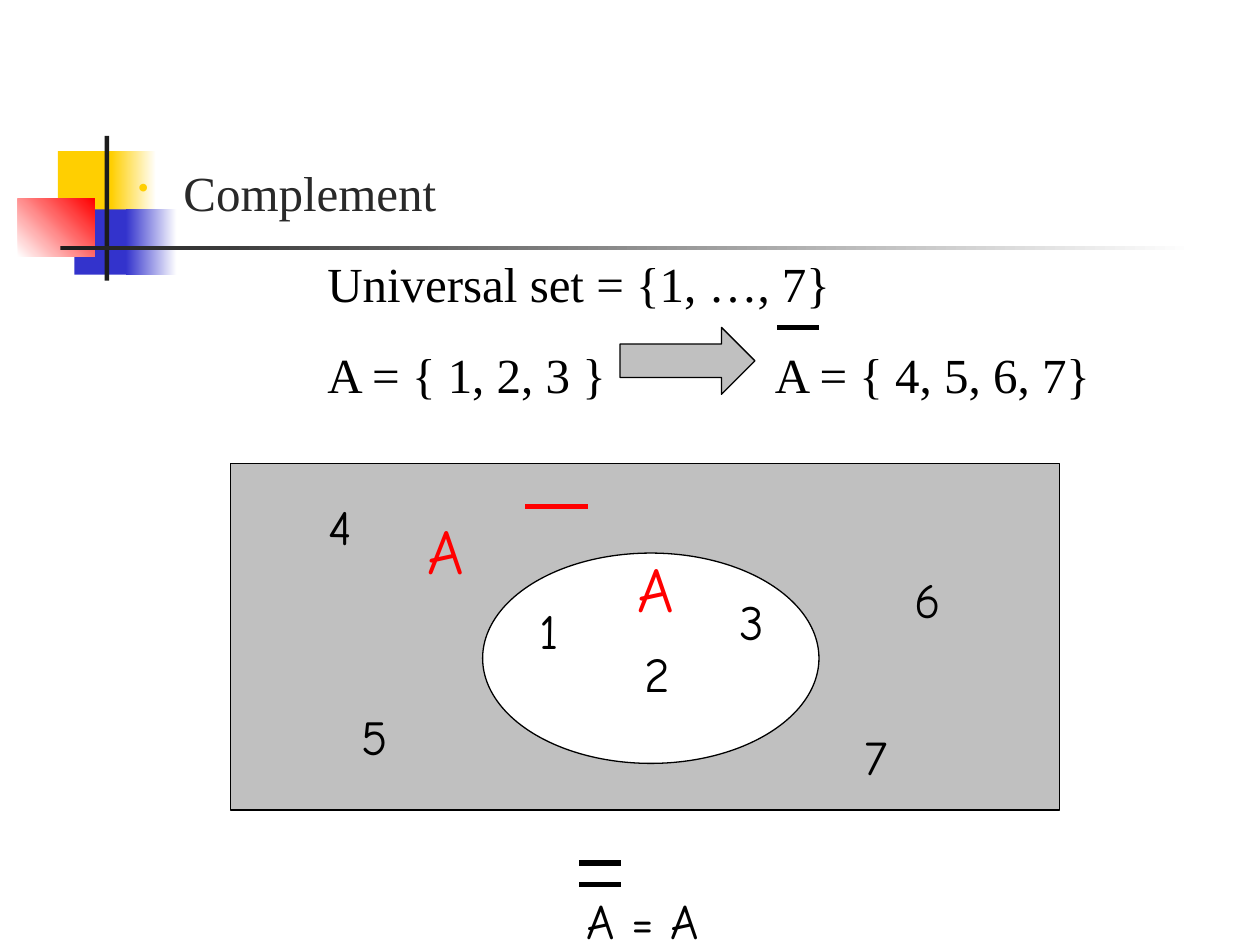
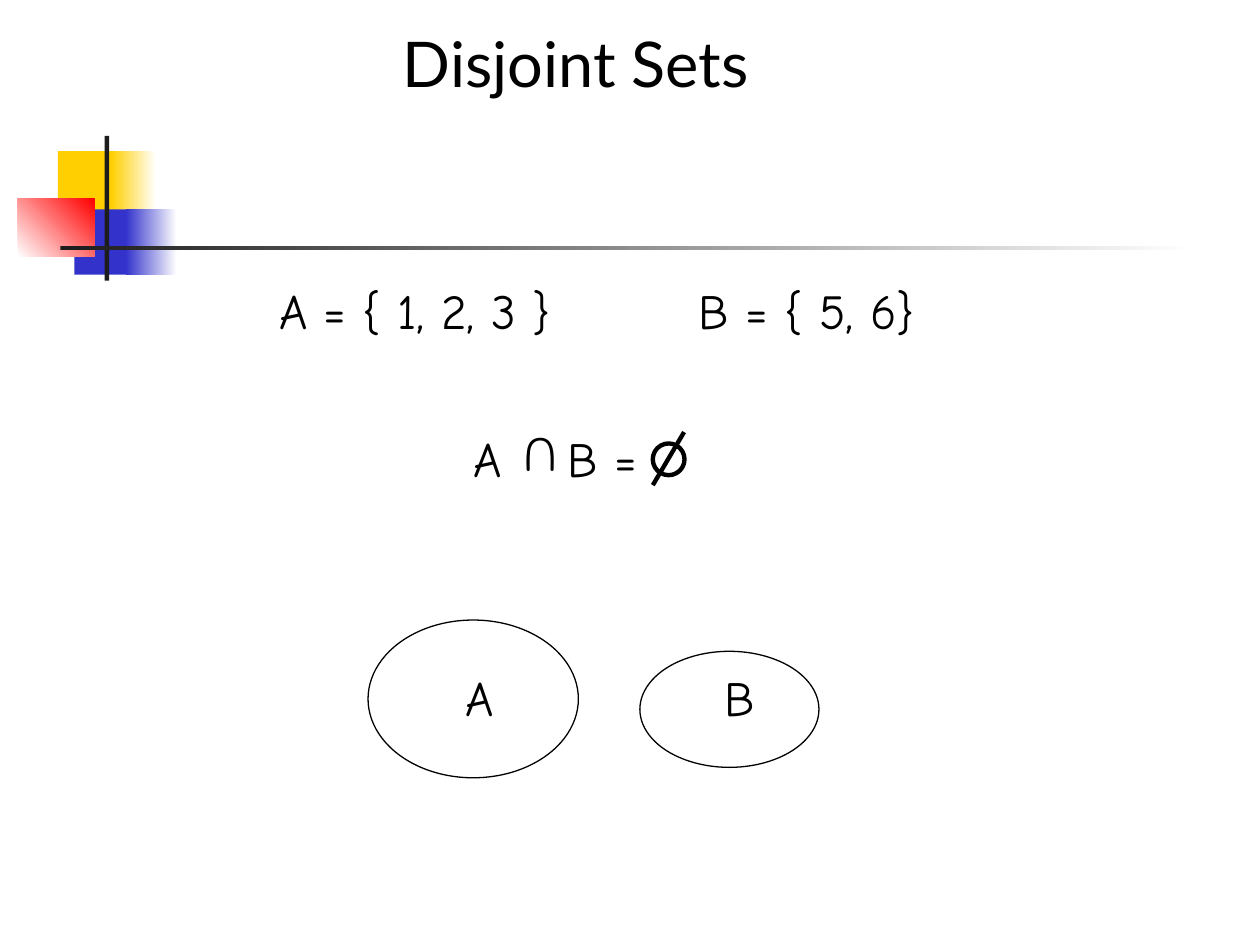
from lxml import etree
from pptx import Presentation
from pptx.dml.color import RGBColor
from pptx.enum.shapes import MSO_CONNECTOR, MSO_SHAPE
from pptx.enum.text import MSO_ANCHOR, PP_ALIGN
from pptx.oxml.ns import qn
from pptx.util import Cm, Pt

RECTANGLE, ELLIPSE, RIGHT_ARROW = MSO_SHAPE.RECTANGLE, MSO_SHAPE.OVAL, MSO_SHAPE.RIGHT_ARROW
STRAIGHT = MSO_CONNECTOR.STRAIGHT
LEFT, CENTER = PP_ALIGN.LEFT, PP_ALIGN.CENTER
TOP, MIDDLE = MSO_ANCHOR.TOP, MSO_ANCHOR.MIDDLE

BLACK = RGBColor(0x00, 0x00, 0x00)
WHITE = RGBColor(0xFF, 0xFF, 0xFF)
RED = RGBColor(0xFF, 0x00, 0x00)
YELLOW = RGBColor(0xFF, 0xCF, 0x01)
BLUE = RGBColor(0x33, 0x33, 0xCC)
CHARCOAL = RGBColor(0x1C, 0x1C, 0x1C)
HEADING = RGBColor(0x29, 0x29, 0x29)
GREY = RGBColor(0xC0, 0xC0, 0xC0)

HAND, TITLE_FONT, SERIF = "Comic Neue", "Lato", "Times New Roman"
TEXT_SIZE, LARGE_SIZE = 28, 36
TEXT_HEIGHT, LARGE_HEIGHT = 1.45, 1.78
THIN, MEDIUM, THICK = 0.75, 2.5, 3

# All places are in centimetres: left, top, width, height.
# A fill is one colour, or (start colour, end colour, angle).
EMBLEM = [
    ((1.17, 3.05, 1.22, 1.32), YELLOW),
    ((2.24, 3.05, 0.91, 1.32), (YELLOW, WHITE, 0)),
    ((1.5, 4.22, 1.17, 1.32), BLUE),
    ((2.54, 4.22, 1.02, 1.32), (BLUE, WHITE, 0)),
    ((0.36, 4.01, 1.55, 1.17), (WHITE, RED, 45)),
    ((2.11, 2.74, 0.09, 2.92), CHARCOAL),
    ((1.22, 4.95, 22.86, 0.09), (CHARCOAL, WHITE, 0)),
]

COMPLEMENT_BOX = (2.54, 3.15, 21.39, 5)
COMPLEMENT_HEADING = "Complement"
COMPLEMENT_LINES = ["\tUniversal set = {1, …, 7}", "\tA = { 1, 2, 3 }\tA = { 4, 5, 6, 7}"]
COMPLEMENT_TABS = [3.81, 12.83]
HEADING_INDENT = 0.91

UNIVERSE = (4.65, 9.35, 16.71, 6.98)
SET_A = (9.73, 11.15, 6.78, 4.24)
IMPLIES_ARROW = (12.5, 6.6, 2.72, 1.35)
ELEMENTS = [  # text, left, top, width
    ("1", 10.62, 11.99, 0.89),
    ("2", 12.75, 12.85, 1.02),
    ("3", 14.66, 11.79, 0.99),
    ("4", 6.38, 9.88, 0.99),
    ("5", 7.04, 14.12, 1.04),
    ("6", 18.19, 11.35, 1.04),
    ("7", 17.17, 14.53, 0.97),
    ("A = A", 11.58, 17.83, 2.77),
]
RED_A_PLACES = [(8.36, 10.19), (12.6, 10.95)]
OVERLINES = [  # left, right, height on the slide, colour
    (15.67, 16.51, 6.6, BLACK),
    (10.59, 11.86, 10.21, RED),
    (11.68, 12.52, 17.83, BLACK),
    (11.68, 12.52, 17.4, BLACK),
]

DISJOINT_TITLE = ("Disjoint Sets", (7.87, 0.36, 7.85, LARGE_HEIGHT))
FORMULAS = [  # text, left, top, width, tab stops
    ("A = { 1, 2, 3 }\tB = { 5, 6}", 5.38, 5.54, 13.61, [8.46]),
    ("A\tB =", 9.3, 8.51, 4.78, [1.9]),
]
INTERSECTION = ("U", (10.21, 8.51, 1.27, TEXT_HEIGHT))
EMPTY_SET_RING = (13.16, 8.94, 0.64, 0.64)
EMPTY_SET_SLASH = (13.79, 8.71, 13.16, 9.78)
DISJOINT_SETS = [(7.42, 12.5, 4.24, 3.18), (12.9, 13.13, 3.61, 2.34)]
SET_NAMES = [("A", 9.14, 13.34, 1.07), ("B", 14.35, 13.34, 1.12)]


def lengths(values):
    return [Cm(value) for value in values]


def add_shape(slide, kind, place, fill=None, line_width=None):
    shape = slide.shapes.add_shape(kind, *lengths(place))
    shape.shadow.inherit = False
    if fill is None:
        shape.fill.background()
    elif isinstance(fill, RGBColor):
        shape.fill.solid()
        shape.fill.fore_color.rgb = fill
    else:
        *colours, angle = fill
        shape.fill.gradient()
        shape.fill.gradient_angle = angle
        for stop, colour in zip(shape.fill.gradient_stops, colours):
            stop.color.rgb = colour
    if line_width is None:
        shape.line.fill.background()
    else:
        shape.line.color.rgb = BLACK
        shape.line.width = Pt(line_width)
    return shape


def add_line(slide, ends, colour, width):
    line = slide.shapes.add_connector(STRAIGHT, *lengths(ends))
    line.line.color.rgb = colour
    line.line.width = Pt(width)
    etree.SubElement(line._element.spPr, qn("a:effectLst"))


def add_tabs(paragraph, stops):
    tab_list = etree.SubElement(paragraph._p.get_or_add_pPr(), qn("a:tabLst"))
    for stop in stops:
        etree.SubElement(tab_list, qn("a:tab"), pos=str(Cm(stop)), algn="l")


def add_bullet(paragraph, character, colour, percent, indent):
    properties = paragraph._p.get_or_add_pPr()
    properties.set("marL", str(Cm(indent)))
    properties.set("indent", str(-Cm(indent)))
    bullet_colour = etree.SubElement(properties, qn("a:buClr"))
    etree.SubElement(bullet_colour, qn("a:srgbClr"), val=str(colour))
    etree.SubElement(properties, qn("a:buSzPct"), val=str(percent * 1000))
    etree.SubElement(properties, qn("a:buChar"), char=character)


def set_font(paragraph, name, size, colour):
    paragraph.font.name = name
    paragraph.font.size = Pt(size)
    paragraph.font.color.rgb = colour


def add_text(slide, text, place, font=HAND, size=TEXT_SIZE, colour=BLACK,
             align=LEFT, anchor=TOP, tabs=()):
    box = slide.shapes.add_textbox(*lengths(place))
    frame = box.text_frame
    frame.word_wrap = bool(tabs)
    frame.vertical_anchor = anchor
    paragraph = frame.paragraphs[0]
    paragraph.text = text
    paragraph.alignment = align
    if tabs:
        add_tabs(paragraph, tabs)
    set_font(paragraph, font, size, colour)
    return box


def add_labels(slide, labels):
    for text, left, top, width in labels:
        add_text(slide, text, (left, top, width, TEXT_HEIGHT))


def add_slide(presentation):
    """Add a blank slide carrying the shared emblem and rules."""
    slide = presentation.slides.add_slide(presentation.slide_layouts[6])
    for place, fill in EMBLEM:
        add_shape(slide, RECTANGLE, place, fill)
    return slide


def add_complement_text(slide):
    frame = slide.shapes.add_textbox(*lengths(COMPLEMENT_BOX)).text_frame
    frame.word_wrap = True
    heading = frame.paragraphs[0]
    heading.text = COMPLEMENT_HEADING
    add_bullet(heading, "•", YELLOW, 60, HEADING_INDENT)
    set_font(heading, SERIF, TEXT_SIZE, HEADING)
    for text in COMPLEMENT_LINES:
        paragraph = frame.add_paragraph()
        paragraph.text = text
        paragraph.space_before = Pt(18.5)
        add_tabs(paragraph, COMPLEMENT_TABS)
        set_font(paragraph, SERIF, TEXT_SIZE, BLACK)


def build_complement(presentation):
    slide = add_slide(presentation)
    add_shape(slide, RECTANGLE, UNIVERSE, GREY, THIN)
    add_complement_text(slide)
    add_shape(slide, RIGHT_ARROW, IMPLIES_ARROW, GREY, THIN)
    add_shape(slide, ELLIPSE, SET_A, WHITE, THIN)
    add_labels(slide, ELEMENTS)
    for left, top in RED_A_PLACES:
        add_text(slide, "A", (left, top, 1.24, LARGE_HEIGHT), size=LARGE_SIZE,
                 colour=RED, align=CENTER, anchor=MIDDLE)
    for left, right, height, colour in OVERLINES:
        add_line(slide, (left, height, right, height), colour, THICK)


def build_disjoint_sets(presentation):
    slide = add_slide(presentation)
    add_text(slide, *DISJOINT_TITLE, font=TITLE_FONT, size=LARGE_SIZE)
    for text, left, top, width, tabs in FORMULAS:
        add_text(slide, text, (left, top, width, TEXT_HEIGHT), tabs=tabs)
    add_text(slide, *INTERSECTION).rotation = 180
    add_shape(slide, ELLIPSE, EMPTY_SET_RING, line_width=MEDIUM)
    add_line(slide, EMPTY_SET_SLASH, BLACK, MEDIUM)
    for place in DISJOINT_SETS:
        add_shape(slide, ELLIPSE, place, line_width=THIN)
    add_labels(slide, SET_NAMES)


def main():
    presentation = Presentation()
    presentation.slide_width, presentation.slide_height = Cm(25.4), Cm(19.05)
    build_complement(presentation)
    build_disjoint_sets(presentation)
    presentation.save("out.pptx")


if __name__ == "__main__":
    main()
